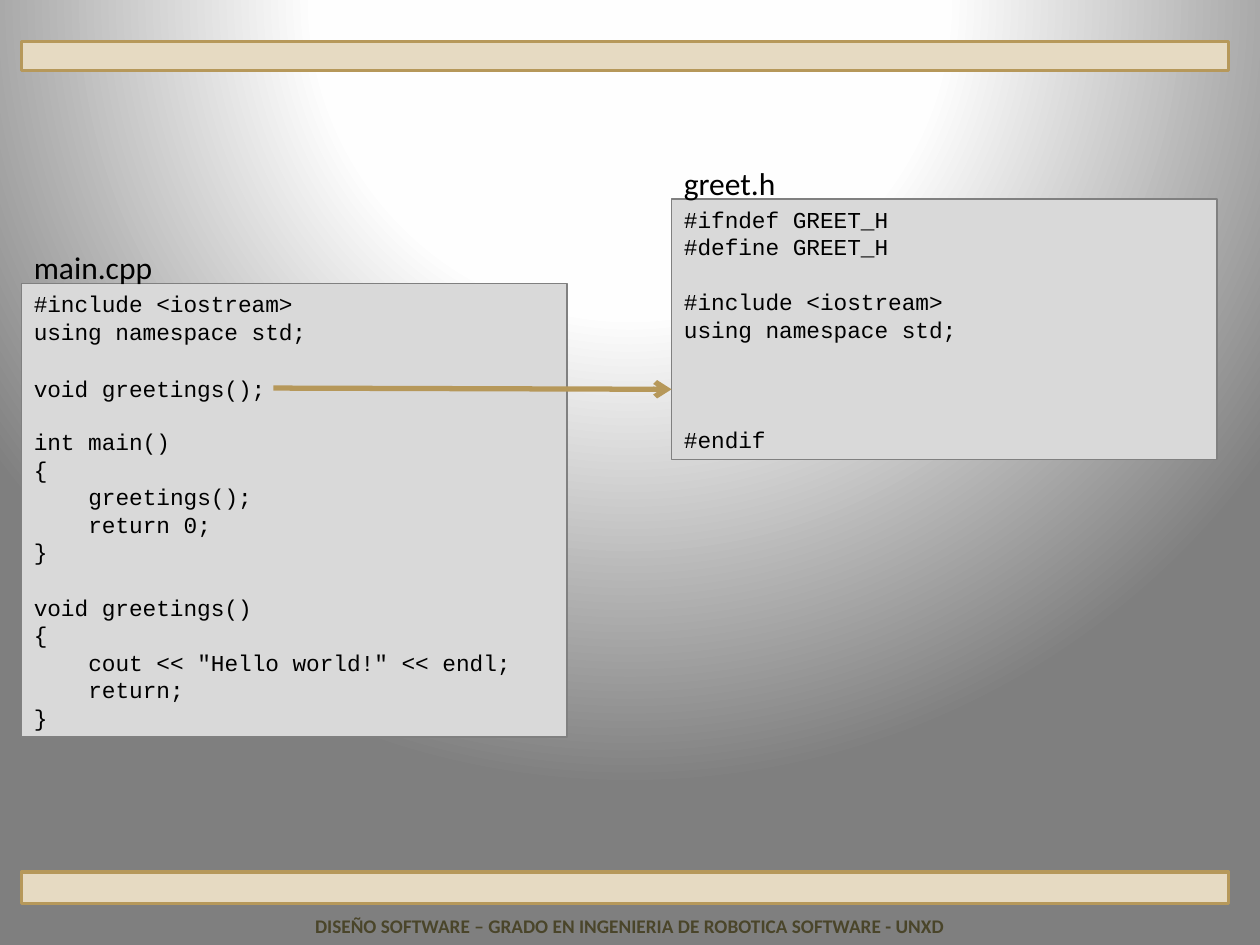
import pptx
import pptx.util
import pptx.dml.color
import pptx.enum.shapes
import pptx.enum.text
import pptx.oxml
import pptx.oxml.ns

Inches, Pt = pptx.util.Inches, pptx.util.Pt
RGBColor = pptx.dml.color.RGBColor
PP_ALIGN = pptx.enum.text.PP_ALIGN
MSO_SHAPE = pptx.enum.shapes.MSO_SHAPE
qn = pptx.oxml.ns.qn

BLACK = RGBColor(0x00, 0x00, 0x00)
SAND = RGBColor(0xE6, 0xDA, 0xC2)
GOLD = RGBColor(0xB6, 0x98, 0x5A)
OLIVE = RGBColor(0x4A, 0x45, 0x2A)
CODE_FILL = RGBColor(0xD9, 0xD9, 0xD9)
CODE_LINE = RGBColor(0x80, 0x80, 0x80)

CODE_FONT, CODE_SIZE, CODE_PITCH = "Courier New", 13, 15.75
CODE_CHAR = 0.6 * CODE_SIZE  # width of one monospaced character, in points
MARGIN, CODE_W = 0.17, 4.33

MAIN_CPP = """\
#include <iostream>
using namespace std;



int main()
{
    greetings();
    return 0;
}

void greetings()
{
    cout << "Hello world!" << endl;
    return;
}"""

GREET_H = """\
#ifndef GREET_H
#define GREET_H

#include <iostream>
using namespace std;



#endif"""


def write_text(tf, text, font="Calibri", size=18, color=BLACK, bold=False,
               align=PP_ALIGN.LEFT, pitch=None, wrap=True):
    """Write one paragraph a line; empty lines become spacing, leading spaces an indent."""
    tf.word_wrap = wrap
    tf.vertical_anchor = pptx.enum.text.MSO_ANCHOR.TOP
    p, gap = None, 0
    for line in text.split("\n"):
        if not line:
            gap += 1
            continue
        p = tf.add_paragraph() if p is not None else tf.paragraphs[0]
        p.alignment = align
        if pitch:
            p.line_spacing = Pt(pitch)
            p.space_before = Pt(gap * pitch)
        code = line.lstrip()
        indent = len(line) - len(code)
        if indent:
            p._p.get_or_add_pPr().set("marL", str(Pt(indent * CODE_CHAR)))
        r = p.add_run()
        r.text = code
        r.font.name, r.font.size, r.font.bold = font, Pt(size), bold
        r.font.color.rgb = color
        gap = 0


def add_text(s, x, y, w, h, text, **fmt):
    sp = s.shapes.add_textbox(Inches(x), Inches(y), Inches(w), Inches(h))
    write_text(sp.text_frame, text, **fmt)


def add_box(s, x, y, w, h, fill, line, weight):
    sp = s.shapes.add_shape(MSO_SHAPE.RECTANGLE, Inches(x), Inches(y), Inches(w), Inches(h))
    sp.shadow.inherit = False
    sp.fill.solid()
    sp.fill.fore_color.rgb = fill
    sp.line.color.rgb = line
    sp.line.width = Pt(weight)
    return sp


def add_background(s):
    """Radial gradient centred above the slide."""
    s.background.fill.gradient()
    grad = s.element.find(".//" + qn("a:gradFill"))
    stops = "".join(f'<a:gs pos="{pos * 1000}"><a:srgbClr val="{color}"/></a:gs>'
                    for pos, color in ((0, "FFFFFF"), (40, "FEFEFE"), (100, "7F7F7F")))
    grad.getparent().replace(grad, pptx.oxml.parse_xml(
        f'<a:gradFill {pptx.oxml.ns.nsdecls("a")} rotWithShape="1"><a:gsLst>{stops}</a:gsLst>'
        '<a:path path="circle"><a:fillToRect l="50000" t="-80000" r="50000" b="180000"/>'
        '</a:path></a:gradFill>'))


def add_frame(s):
    """Top and bottom bands and the footer."""
    for y, h in ((0.33, 0.23), (6.92, 0.25)):
        add_box(s, MARGIN, y, 9.58, h, SAND, GOLD, 2)
    add_text(s, 0, 7.21, 10, 0.29,
             "DISEÑO SOFTWARE – GRADO EN INGENIERIA DE ROBOTICA SOFTWARE - UNXD",
             size=11, color=OLIVE, bold=True, align=PP_ALIGN.CENTER)


def add_code_file(s, x, y, w, h, name, name_w, code):
    """Grey listing with its file name above."""
    sp = add_box(s, x, y, w, h, CODE_FILL, CODE_LINE, 0.75)
    write_text(sp.text_frame, code, font=CODE_FONT, size=CODE_SIZE, pitch=CODE_PITCH)
    add_text(s, x, y - 0.33, name_w, 0.4, name, wrap=False)


def add_arrow(s, x1, y1, x2, y2):
    sp = s.shapes.add_connector(pptx.enum.shapes.MSO_CONNECTOR.STRAIGHT,
                                Inches(x1), Inches(y1), Inches(x2), Inches(y2))
    sp.line.color.rgb = GOLD
    sp.line.width = Pt(3)
    ln = sp.line._get_or_add_ln()
    ln.append(ln.makeelement(qn("a:tailEnd"), {"type": "arrow"}))
    spPr = sp._element.spPr
    spPr.append(spPr.makeelement(qn("a:effectLst"), {}))


def main():
    prs = pptx.Presentation()
    prs.slide_width, prs.slide_height = Inches(10), Inches(7.5)
    s = prs.slides.add_slide(prs.slide_layouts[6])
    add_background(s)
    add_frame(s)
    add_code_file(s, MARGIN, 2.25, CODE_W, 3.6, "main.cpp", 1.15, MAIN_CPP)
    add_code_file(s, 5.33, 1.58, CODE_W, 2.07, "greet.h", 0.94, GREET_H)
    # Declaration that moves to the header
    add_arrow(s, 2.17, 3.08, 5.33, 3.09)
    add_text(s, MARGIN, 2.92, 2.16, 0.32, "void greetings();", font=CODE_FONT,
             size=CODE_SIZE, pitch=CODE_PITCH, wrap=False)
    prs.save("out.pptx")


if __name__ == "__main__":
    main()
